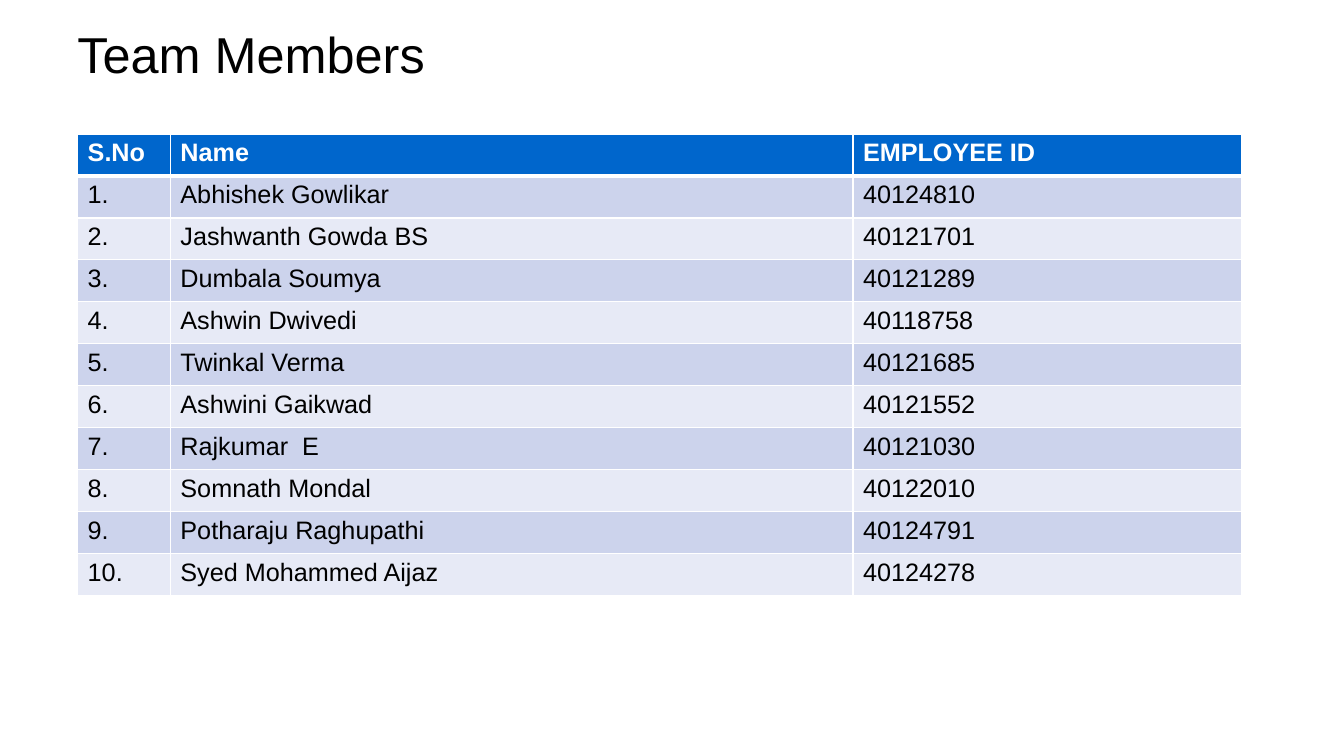
from lxml import etree
from pptx import Presentation
from pptx.dml import color as dml
from pptx.enum import text
from pptx.oxml import ns
from pptx.util import Inches, Pt

MEMBERS = [
    ("Abhishek Gowlikar", "40124810"),
    ("Jashwanth Gowda BS", "40121701"),
    ("Dumbala Soumya", "40121289"),
    ("Ashwin Dwivedi", "40118758"),
    ("Twinkal Verma", "40121685"),
    ("Ashwini Gaikwad", "40121552"),
    ("Rajkumar  E", "40121030"),
    ("Somnath Mondal", "40122010"),
    ("Potharaju Raghupathi", "40124791"),
    ("Syed Mohammed Aijaz", "40124278"),
]


def rgb(value):
    return dml.RGBColor.from_string(value)


class SlideBuilder:
    font_name = "Arial"
    ink = "000000"
    paper = "FFFFFF"
    header_fill = "0066CC"
    band_fills = ("CCD3EC", "E7EAF6")

    def __init__(self, slide):
        self.slide = slide

    def style(self, paragraph, size, color, bold=False):
        font = paragraph.font
        font.name = self.font_name
        font.size = Pt(size)
        font.bold = bold
        font.color.rgb = rgb(color)

    def title(self, wording, left, top, width, height):
        shape = self.slide.shapes.add_textbox(
            Inches(left), Inches(top), Inches(width), Inches(height))
        frame = shape.text_frame
        frame.word_wrap = True
        frame.vertical_anchor = text.MSO_ANCHOR.MIDDLE
        frame.text = wording
        self.style(frame.paragraphs[0], 36, self.ink)

    def border(self, cell, side, width):
        properties = cell._tc.get_or_add_tcPr()
        line = etree.SubElement(properties, ns.qn(f"a:{side}"), w=str(Pt(width)))
        fill = etree.SubElement(line, ns.qn("a:solidFill"))
        etree.SubElement(fill, ns.qn("a:srgbClr"), val=self.paper)

    def cell(self, cell, wording, row):
        header = row == 0
        rule_widths = {"lnL": 1, "lnR": 1,
                       "lnT": 3 if row == 1 else 1,
                       "lnB": 3 if header else 1}
        for side, width in rule_widths.items():
            self.border(cell, side, width)
        cell.fill.solid()
        cell.fill.fore_color.rgb = rgb(
            self.header_fill if header else self.band_fills[(row - 1) % 2])
        cell.text = wording
        self.style(cell.text_frame.paragraphs[0], 18,
                   self.paper if header else self.ink, header)

    def table(self, rows, left, top, column_widths, height):
        table = self.slide.shapes.add_table(
            len(rows), len(column_widths), Inches(left), Inches(top),
            Inches(sum(column_widths)), Inches(height)).table
        for column, width in zip(table.columns, column_widths):
            column.width = Inches(width)
        for row, values in enumerate(rows):
            for column, wording in enumerate(values):
                self.cell(table.cell(row, column), wording, row)


def main():
    presentation = Presentation()
    presentation.slide_width = Inches(13.33)
    presentation.slide_height = Inches(7.5)
    slide = presentation.slides.add_slide(presentation.slide_layouts[6])
    builder = SlideBuilder(slide)
    builder.title("Team Members", 0.67, 0.21, 12, 0.64)
    rows = [("S.No", "Name", "EMPLOYEE ID")]
    rows += [(f"{number}.", name, employee_id)
             for number, (name, employee_id) in enumerate(MEMBERS, 1)]
    builder.table(rows, 0.77, 1.33, (0.92, 6.77, 3.85), 4.58)
    presentation.save("out.pptx")


if __name__ == "__main__":
    main()
